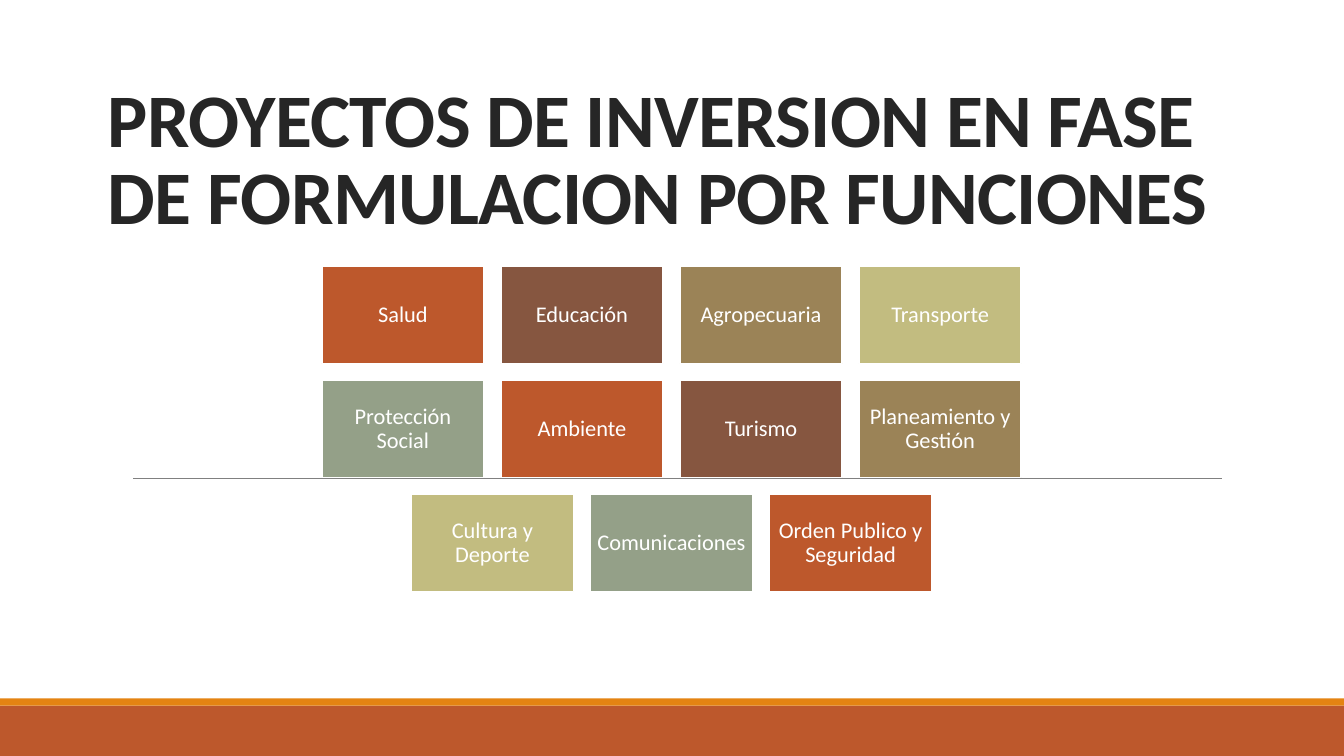
from dataclasses import dataclass

from pptx import Presentation
from pptx.dml.color import RGBColor
from pptx.enum.shapes import MSO_CONNECTOR, MSO_SHAPE
from pptx.enum.text import MSO_ANCHOR, MSO_AUTO_SIZE, PP_ALIGN
from pptx.oxml.ns import qn
from pptx.util import Inches, Pt


@dataclass(frozen=True)
class Theme:
    font: str = "Calibri"
    title_size: float = 54
    tile_size: float = 16
    title_ink: str = "262626"
    white: str = "FFFFFF"
    rule: str = "808080"
    accent: str = "E48312"
    base: str = "BD582C"
    tiles: tuple = ("BD582C", "865640", "9B8357", "C2BC80", "94A088")


THEME = Theme()
WIDTH, HEIGHT = 13.33, 7.5
TITLE = "PROYECTOS DE INVERSION EN FASE DE FORMULACION POR FUNCIONES"
FUNCTIONS = (
    "Salud", "Educación", "Agropecuaria", "Transporte",
    "Protección Social", "Ambiente", "Turismo", "Planeamiento y Gestión",
    "Cultura y Deporte", "Comunicaciones", "Orden Publico y Seguridad",
)


def color(code):
    return RGBColor.from_string(code)


def add_block(slide, box, fill, outline=None):
    block = slide.shapes.add_shape(MSO_SHAPE.RECTANGLE, *map(Inches, box))
    block.shadow.inherit = False
    block.fill.solid()
    block.fill.fore_color.rgb = color(fill)
    if outline:
        block.line.color.rgb = color(outline)
        block.line.width = Pt(1.25)
    else:
        block.line.fill.background()
    return block


def write(frame, text, size, ink, align, spacing, bold=False):
    frame.word_wrap = True
    frame.auto_size = MSO_AUTO_SIZE.NONE
    paragraph = frame.paragraphs[0]
    paragraph.alignment = align
    paragraph.line_spacing = spacing
    run = paragraph.add_run()
    run.text = text
    run.font.name = THEME.font
    run.font.size = Pt(size)
    run.font.bold = bold
    run.font.color.rgb = color(ink)
    return run


def add_footer(slide, box):
    left, top, width, height = box
    stripe = 0.07
    add_block(slide, (left, top + stripe, width, height - stripe), THEME.base)
    add_block(slide, (left, top, width, stripe), THEME.accent)


def add_rule(slide, left, right, y):
    rule = slide.shapes.add_connector(
        MSO_CONNECTOR.STRAIGHT, Inches(left), Inches(y), Inches(right), Inches(y))
    rule.line.color.rgb = color(THEME.rule)
    rule.line.width = Pt(0.5)
    properties = rule._element.spPr
    properties.append(properties.makeelement(qn("a:effectLst"), {}))


def add_title(slide, box):
    title = slide.shapes.title
    title.left, title.top, title.width, title.height = map(Inches, box)
    frame = title.text_frame
    frame.vertical_anchor = MSO_ANCHOR.BOTTOM
    run = write(frame, TITLE, THEME.title_size, THEME.title_ink,
                PP_ALIGN.LEFT, 0.85, bold=True)
    run._r.get_or_add_rPr().set("spc", "-50")


def add_function_tile(slide, box, label, fill):
    frame = add_block(slide, box, fill, THEME.white).text_frame
    frame.vertical_anchor = MSO_ANCHOR.MIDDLE
    frame.margin_left = frame.margin_right = Inches(0.07)
    frame.margin_top = frame.margin_bottom = Inches(0.07)
    write(frame, label, THEME.tile_size, THEME.white, PP_ALIGN.CENTER, 0.9)


def add_function_grid(slide, box, columns=4, gap=0.165):
    left, top, width, height = box
    row_count = -(-len(FUNCTIONS) // columns)
    tile_width = (width - gap * (columns - 1)) / columns
    tile_height = (height - gap * (row_count - 1)) / row_count
    for index, label in enumerate(FUNCTIONS):
        row, column = divmod(index, columns)
        in_row = min(columns, len(FUNCTIONS) - row * columns)
        indent = (columns - in_row) * (tile_width + gap) / 2
        x = left + indent + column * (tile_width + gap)
        y = top + row * (tile_height + gap)
        fill = THEME.tiles[index % len(THEME.tiles)]
        add_function_tile(slide, (x, y, tile_width, tile_height), label, fill)


def main():
    deck = Presentation()
    deck.slide_width, deck.slide_height = Inches(WIDTH), Inches(HEIGHT)
    slide = deck.slides.add_slide(deck.slide_layouts[5])
    slide.background.fill.solid()
    slide.background.fill.fore_color.rgb = color(THEME.white)
    add_footer(slide, (0, 6.93, WIDTH, 0.57))
    add_rule(slide, 1.32, 12.12, 4.75)
    add_title(slide, (0.97, 0.68, 11.29, 1.75))
    add_function_grid(slide, (3.19, 2.64, 6.94, 3.23))
    deck.save("out.pptx")


if __name__ == "__main__":
    main()
